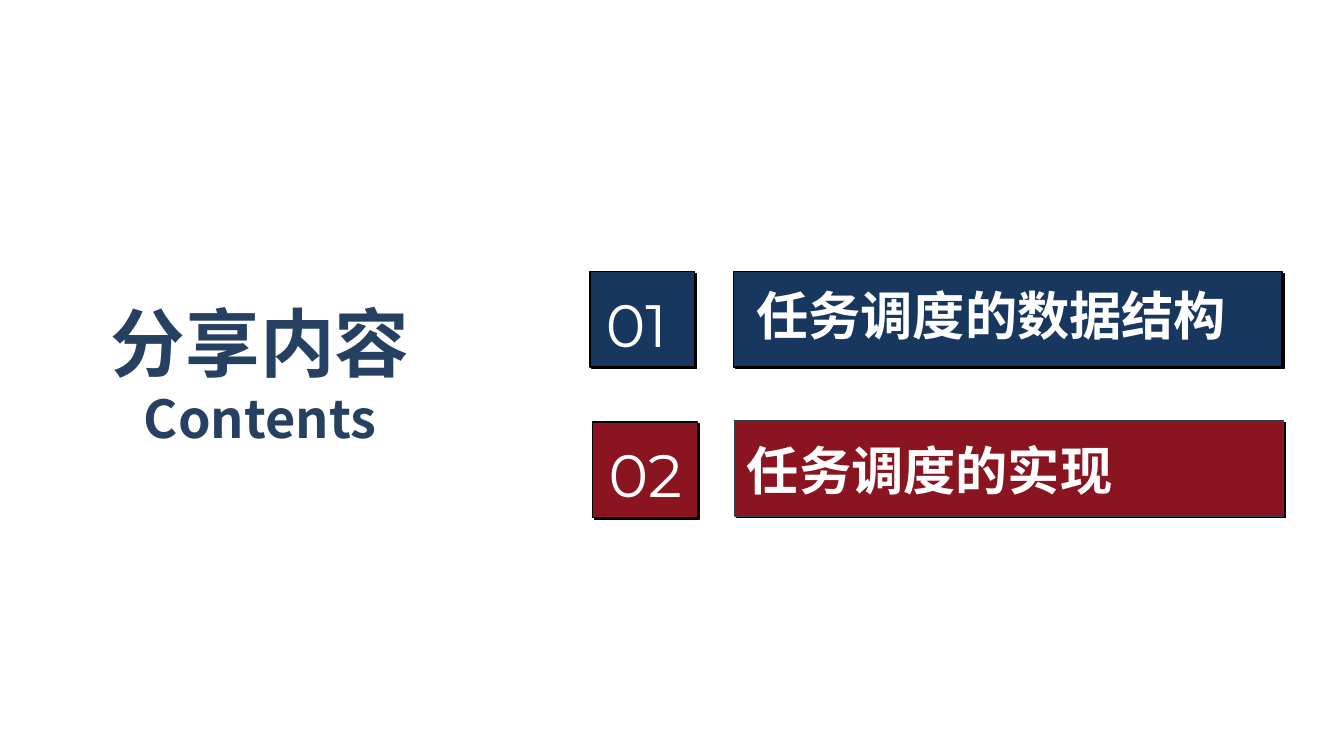
from lxml.etree import SubElement
from pptx import Presentation
from pptx.dml.color import RGBColor
from pptx.enum.shapes import MSO_SHAPE as Preset
from pptx.enum.text import MSO_AUTO_SIZE as AutoSize, PP_ALIGN as Align
from pptx.oxml.ns import qn
from pptx.util import Inches, Pt

COLORS = {
    "navy": "17375E", "red": "8A1420", "title": "254061",
    "black": "000000", "slate": "323F4F", "white": "FFFFFF",
}
CHINESE, LATIN = "Noto Sans CJK SC", "Montserrat"
UNIT = Inches(0.1)  # one grid column or row: 100 columns by 56.25 rows


def grid(*lengths):
    return [round(length * UNIT) for length in lengths]


def color(name):
    return RGBColor.from_string(COLORS[name])


def add_text(slide, box, lines, font=CHINESE, fill="white", bold=False,
             align=Align.LEFT, wrap=True):
    """Place (text, size) lines, one paragraph each, in the box."""
    shape = slide.shapes.add_textbox(*grid(*box))
    frame = shape.text_frame
    frame.word_wrap = wrap
    frame.auto_size = AutoSize.SHAPE_TO_FIT_TEXT
    for index, (text, size) in enumerate(lines):
        paragraph = frame.add_paragraph() if index else frame.paragraphs[0]
        paragraph.alignment = align
        run = paragraph.add_run()
        run.text = text
        run.font.size, run.font.bold = Pt(size), bold
        run.font.color.rgb = color(fill)
        run.font.name = font
        SubElement(run.font._element, qn("a:ea"), typeface=font)


def add_panel(slide, box, fill, line):
    """Draw a rectangle with a hard shadow to the lower right."""
    shape = slide.shapes.add_shape(Preset.RECTANGLE, *grid(*box))
    shape.fill.solid()
    shape.fill.fore_color.rgb = color(fill)
    shape.line.color.rgb = color(line)
    shape.line.width = Pt(0.75)
    shape.shadow.inherit = False
    effects = shape._element.spPr.find(qn("a:effectLst"))
    shadow = SubElement(effects, qn("a:outerShdw"), blurRad="0",
                        dist=str(int(Pt(1.4))), dir="2700000", algn="tl",
                        rotWithShape="0")
    SubElement(shadow, qn("a:srgbClr"), val=COLORS["black"])


def add_heading(slide, box):
    add_text(slide, box, [("分享内容", 40), ("Contents", 28)],
             fill="title", bold=True, align=Align.CENTER, wrap=False)


def add_entry(slide, box, number, label, fill, line, bar, indent, drop):
    """Place a number tile and its bar; bar is the bar's left and top offset."""
    left, top, width, height = box
    bar_left, bar_top = left + bar[0], top + bar[1]
    # Bar with its label
    add_panel(slide, (bar_left, bar_top, width - 10.7, height), fill, line)
    add_text(slide, (bar_left + indent, bar_top + drop, 42.4, 5.7),
             [(label, 28)], bold=True)
    # Tile with its number
    add_panel(slide, (left, top, 7.8, height), fill, "black")
    add_text(slide, (left + 0.2, top + 0.7, 8.4, 6.4), [(number, 32)],
             font=LATIN)


def main():
    presentation = Presentation()
    presentation.slide_width, presentation.slide_height = grid(100, 56.25)
    slide = presentation.slides.add_slide(presentation.slide_layouts[6])

    add_heading(slide, (7.1, 21.6, 24.5, 12.5))
    add_entry(slide, (43.9, 20.2, 51.5, 7.1), "01", "任务调度的数据结构",
              "navy", "black", bar=(10.7, 0), indent=0.7, drop=0.4)
    add_entry(slide, (44.1, 31.4, 51.5, 7.1), "02", "任务调度的实现",
              "red", "slate", bar=(10.6, -0.1), indent=-0.1, drop=0.8)

    presentation.save("out.pptx")


if __name__ == "__main__":
    main()
